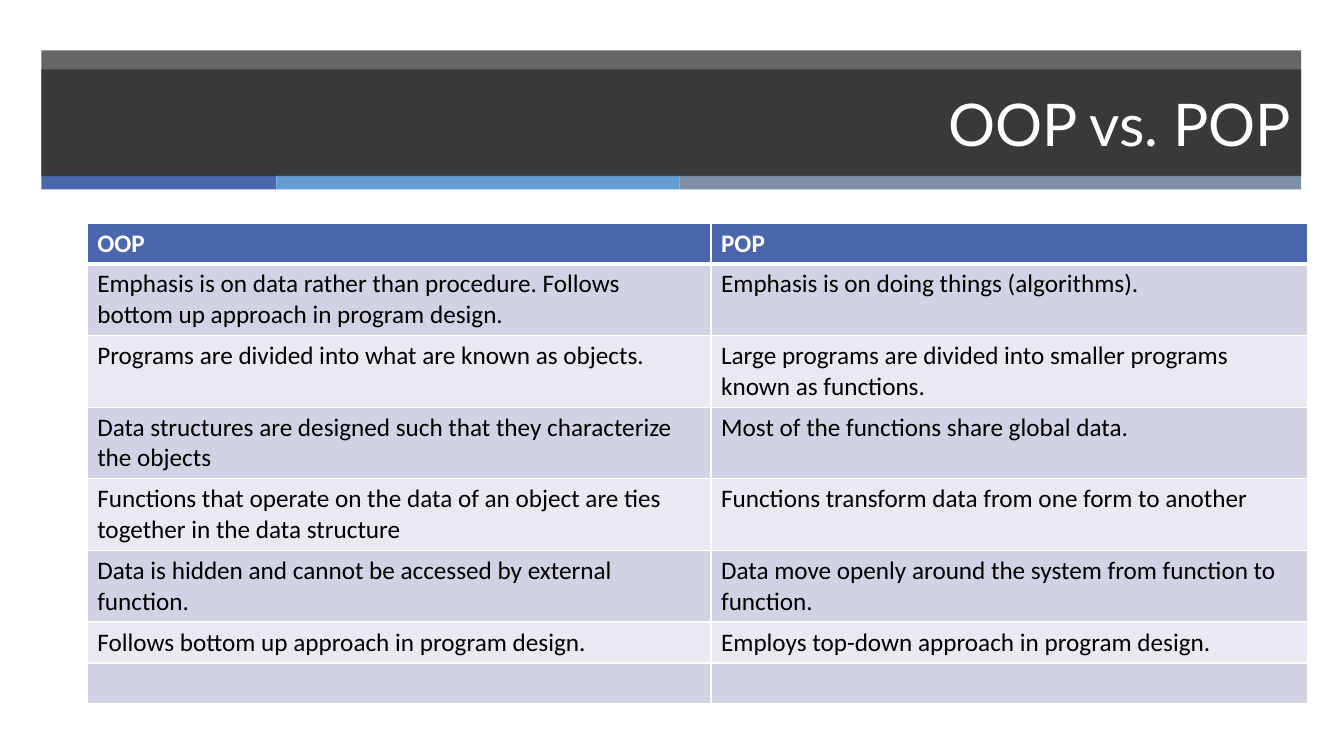
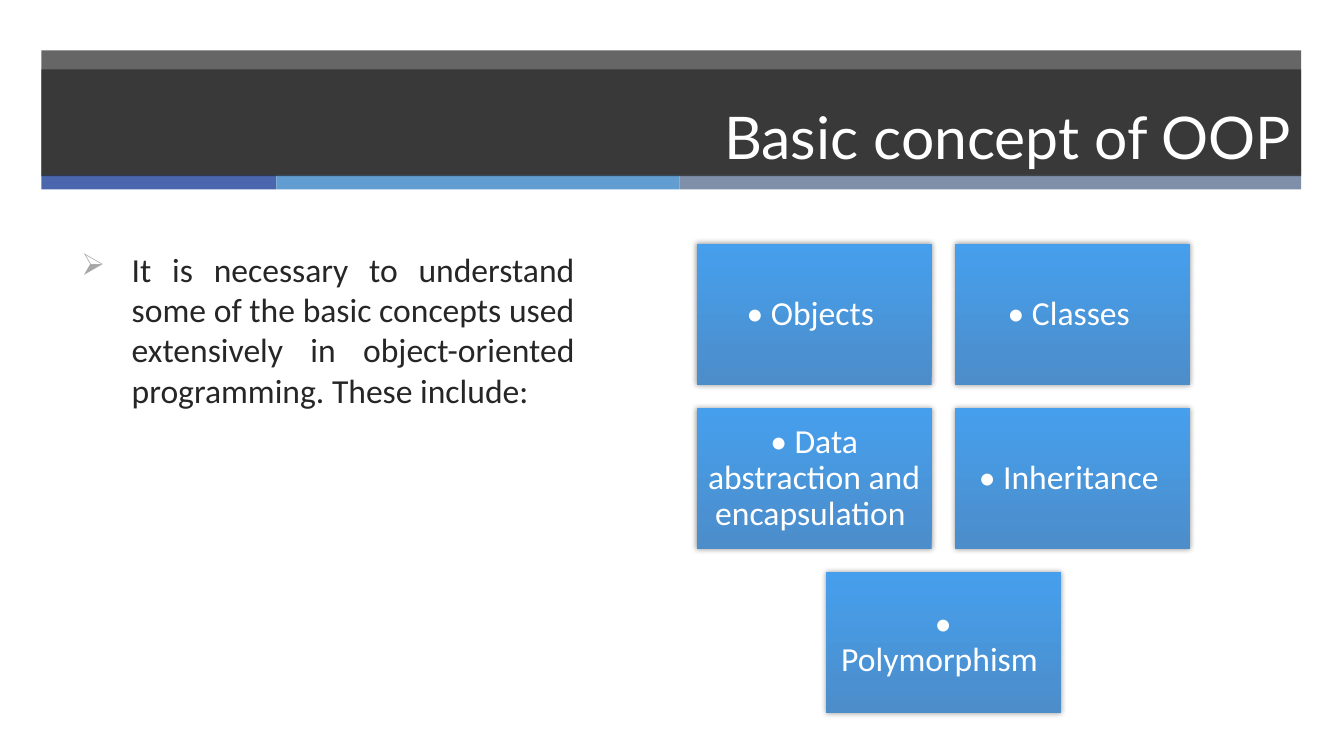
from lxml import etree
from pptx import Presentation
from pptx.dml.color import RGBColor
from pptx.enum import shapes, text
from pptx.oxml import ns
from pptx.util import Pt

COMPARISON = [
    ("OOP", "POP"),
    ("Emphasis is on data rather than procedure. Follows bottom up approach in program design.",
     "Emphasis is on doing things (algorithms)."),
    ("Programs are divided into what are known as objects.",
     "Large programs are divided into smaller programs known as functions."),
    ("Data structures are designed such that they characterize the objects",
     "Most of the functions share global data."),
    ("Functions that operate on the data of an object are ties together in the data structure",
     "Functions transform data from one form to another"),
    ("Data is hidden and cannot be accessed by external function.",
     "Data move openly around the system from function to function."),
    ("Follows bottom up approach in program design.",
     "Employs top-down approach in program design."),
    ("", ""),
]
COLUMN_WIDTHS = (445.6, 426.4)
ROW_HEIGHTS = (29.2, 51, 51, 51, 51, 51, 29.2, 29.2)

INTRO = ("It is necessary to understand some of the basic concepts used extensively "
         "in object-oriented programming. These include: ")
CONCEPT_ROWS = [
    ("• Objects ", "• Classes "),
    ("• Data abstraction and encapsulation ", "• Inheritance "),
    ("• Polymorphism ",),
]

WHITE, BLACK, DARK = "FFFFFF", "000000", "262626"
HEADER, ROW_TINTS = "4A66AC", ("E9EAF1", "D0D3E3")
TILE_BOTTOM, TILE_TOP = "4C8DCA", "469FED"
BULLET = "A6A6A6"
STRIPS = [(168, "4A66AC"), (288, "629DD1"), (444, "7F8FA9")]
BAND_LEFT, BAND_WIDTH = 29.5, 900
TITLE_FONT, BODY_FONT = "Lato", "Calibri"
MIDDLE, BOTTOM = text.MSO_ANCHOR.MIDDLE, text.MSO_ANCHOR.BOTTOM


def rgb(value):
    return RGBColor.from_string(value)


def add_xml(parent, tag, **attributes):
    return etree.SubElement(parent, ns.qn(tag), {k: str(v) for k, v in attributes.items()})


def write(paragraph, words, font, size, color, bold=False):
    run = paragraph.add_run()
    run.text = words
    run.font.name, run.font.size, run.font.bold = font, Pt(size), bold
    run.font.color.rgb = rgb(color)


def add_box(slide, left, top, width, height, color=None, opacity=100):
    box = slide.shapes.add_shape(shapes.MSO_SHAPE.RECTANGLE,
                                 Pt(left), Pt(top), Pt(width), Pt(height))
    box.line.fill.background()
    box.shadow.inherit = False
    if color:
        box.fill.solid()
        box.fill.fore_color.rgb = rgb(color)
    if opacity < 100:
        shade = box.element.spPr.find(ns.qn("a:solidFill"))[0]
        add_xml(shade, "a:alpha", val=opacity * 1000)
    return box


def add_titled_slide(deck, title, anchor):
    slide = deck.slides.add_slide(deck.slide_layouts[6])
    add_box(slide, BAND_LEFT, 36, BAND_WIDTH, 89.3, DARK, 70)
    left = BAND_LEFT
    for width, color in STRIPS:
        add_box(slide, left, 124.8, width, 10.5, color)
        left += width
    band = add_box(slide, BAND_LEFT, 49.6, BAND_WIDTH, 76.2, DARK, 70)
    band.text_frame.vertical_anchor = anchor
    heading = band.text_frame.paragraphs[0]
    heading.alignment = text.PP_ALIGN.RIGHT
    write(heading, title, TITLE_FONT, 42, WHITE)
    return slide


def add_cell_borders(cell, bottom_width):
    properties = cell._tc.get_or_add_tcPr()
    for side, width in (("L", 1), ("R", 1), ("T", 1), ("B", bottom_width)):
        border = add_xml(properties, f"a:ln{side}", w=Pt(width))
        add_xml(add_xml(border, "a:solidFill"), "a:srgbClr", val=WHITE)


def add_comparison(slide):
    table = slide.shapes.add_table(len(COMPARISON), len(COLUMN_WIDTHS), Pt(62.3), Pt(159.3),
                                   Pt(sum(COLUMN_WIDTHS)), Pt(sum(ROW_HEIGHTS))).table
    for column, width in zip(table.columns, COLUMN_WIDTHS):
        column.width = Pt(width)
    for r, (row, entries) in enumerate(zip(table.rows, COMPARISON)):
        row.height = Pt(ROW_HEIGHTS[r])
        is_header = r == 0
        for c, words in enumerate(entries):
            cell = table.cell(r, c)
            add_cell_borders(cell, 3 if is_header else 1)
            cell.fill.solid()
            cell.fill.fore_color.rgb = rgb(HEADER if is_header else ROW_TINTS[r % 2])
            if words:
                write(cell.text_frame.paragraphs[0], words, BODY_FONT, 18,
                      WHITE if is_header else BLACK, is_header)


def add_intro(slide):
    frame = slide.shapes.add_textbox(Pt(51), Pt(174), Pt(366.5), Pt(298)).text_frame
    frame.word_wrap = True
    paragraph = frame.paragraphs[0]
    paragraph.alignment = text.PP_ALIGN.JUSTIFY
    properties = paragraph._p.get_or_add_pPr()
    properties.set("marL", str(Pt(36)))
    properties.set("indent", str(-Pt(36)))
    add_xml(add_xml(properties, "a:buClr"), "a:srgbClr", val=BULLET)
    add_xml(properties, "a:buSzPct", val=90000)
    add_xml(properties, "a:buChar", char="➢")
    write(paragraph, INTRO, BODY_FONT, 24, DARK)


def add_concept(slide, words, left, top, width, height):
    tile = add_box(slide, left, top, width, height)
    tile.fill.gradient()
    tile.fill.gradient_angle = 90
    for stop, color in zip(tile.fill.gradient_stops, (TILE_BOTTOM, TILE_TOP)):
        stop.color.rgb = rgb(color)
    glow = add_xml(tile.element.spPr.find(ns.qn("a:effectLst")), "a:outerShdw",
                   blurRad=Pt(4), dist=0, dir=5400000, rotWithShape=0)
    add_xml(add_xml(glow, "a:srgbClr", val=BLACK), "a:alpha", val=40000)
    frame = tile.text_frame
    frame.word_wrap = True
    frame.vertical_anchor = MIDDLE
    frame.margin_left = frame.margin_right = frame.margin_top = frame.margin_bottom = Pt(7.2)
    paragraph = frame.paragraphs[0]
    paragraph.alignment = text.PP_ALIGN.CENTER
    paragraph.line_spacing = 0.9
    write(paragraph, words, BODY_FONT, 24, WHITE)


def add_concepts(slide):
    width, height, gap, center, top = 168, 100.8, 16.6, 673.8, 174
    for r, concepts in enumerate(CONCEPT_ROWS):
        left = center - (len(concepts) * (width + gap) - gap) / 2
        for c, words in enumerate(concepts):
            add_concept(slide, words, left + c * (width + gap), top + r * (height + gap),
                        width, height)


def main():
    deck = Presentation()
    deck.slide_width, deck.slide_height = Pt(960), Pt(540)
    add_comparison(add_titled_slide(deck, "OOP vs. POP", MIDDLE))
    concepts = add_titled_slide(deck, "Basic concept of OOP", BOTTOM)
    add_concepts(concepts)
    add_intro(concepts)
    deck.save("out.pptx")


if __name__ == "__main__":
    main()
